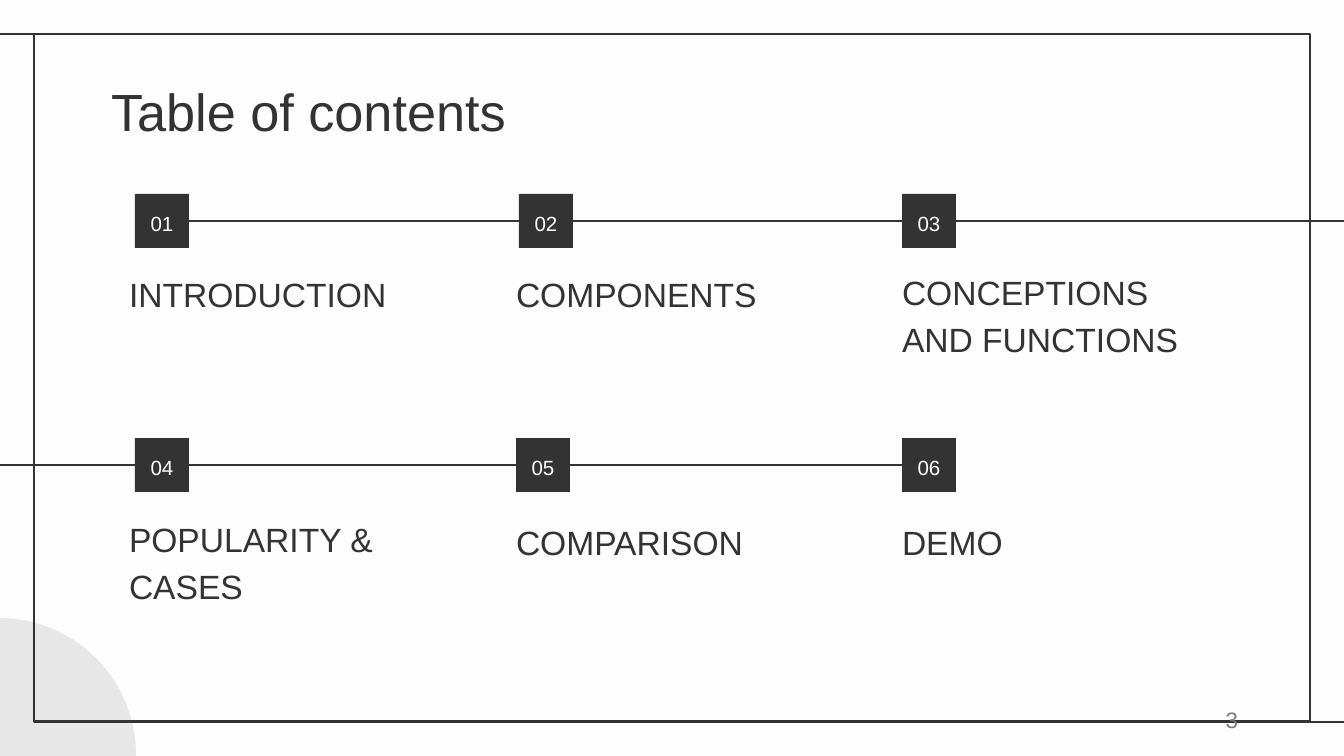
from dataclasses import dataclass

from lxml.etree import SubElement
from pptx import Presentation
from pptx.dml.color import RGBColor
from pptx.enum.shapes import MSO_CONNECTOR, MSO_SHAPE
from pptx.enum.text import MSO_ANCHOR, MSO_AUTO_SIZE, PP_ALIGN
from pptx.oxml.ns import qn
from pptx.util import Pt

PX = 9144000 / 1344


@dataclass(frozen=True)
class Theme:
    font: str = "Arial"
    paper: RGBColor = RGBColor(0xFD, 0xFD, 0xFD)
    ink: RGBColor = RGBColor(0x33, 0x33, 0x33)
    circle: RGBColor = RGBColor(0xE8, 0xE7, 0xE7)
    number: RGBColor = RGBColor(0x7C, 0x7C, 0x7C)
    title_size: int = 28
    label_size: int = 18
    number_size: int = 12
    badge_size: int = 11
    line_width: float = 1.5


theme = Theme()


def px(*lengths):
    """Turn pixel lengths into a list of EMU lengths."""
    return [round(length * PX) for length in lengths]


def write(box, text, size, color=theme.ink, align=PP_ALIGN.LEFT,
          anchor=MSO_ANCHOR.TOP, spacing=1.0, inset_y=13):
    frame = box.text_frame
    frame.word_wrap = True
    frame.auto_size = MSO_AUTO_SIZE.NONE
    frame.vertical_anchor = anchor
    frame.margin_left, frame.margin_right = px(13, 13)
    frame.margin_top, frame.margin_bottom = px(inset_y, inset_y)
    para = frame.paragraphs[0]
    para.alignment = align
    para.line_spacing = spacing
    span = para.add_run()
    span.text = text
    span.font.name = theme.font
    span.font.size = Pt(size)
    span.font.color.rgb = color


deck = Presentation()
deck.slide_width, deck.slide_height = px(1344, 756)
page = deck.slides.add_slide(deck.slide_layouts[5])
page.background.fill.solid()
page.background.fill.fore_color.rgb = theme.paper
shapes = page.shapes

# Corner circle and frame
circle = shapes.add_shape(MSO_SHAPE.OVAL, *px(-138, 618, 274, 274))
circle.shadow.inherit = False
circle.fill.solid()
circle.fill.fore_color.rgb = theme.circle
circle.line.fill.background()

border = shapes.add_shape(MSO_SHAPE.RECTANGLE, *px(34, 34, 1276, 688))
border.shadow.inherit = False
border.fill.background()
border.line.color.rgb = theme.ink
border.line.width = Pt(theme.line_width)

# Frame extensions, then the two timelines
lines = []
for ends in [(34, 34, -3, 34), (1348, 722, 1310, 722),
             (189, 221, 1367, 221), (902, 465, -24, 465)]:
    line = shapes.add_connector(MSO_CONNECTOR.STRAIGHT, *px(*ends))
    line.line.color.rgb = theme.ink
    line.line.width = Pt(theme.line_width)
    SubElement(line._element.spPr, qn("a:effectLst"))
    lines.append(line)
top_timeline, bottom_timeline = lines[2:]

# Title
title = shapes.title
title.left, title.top, title.width, title.height = px(98, 66, 1133, 85)
write(title, "Table of contents", theme.title_size)

# Contents: badge left, badge top, label top, label
sections = [
    (135, 194, 271, "INTRODUCTION"),
    (519, 194, 271, "COMPONENTS"),
    (902, 194, 316, "CONCEPTIONS AND FUNCTIONS"),
    (135, 438, 563, "POPULARITY & CASES"),
    (516, 438, 519, "COMPARISON"),
    (902, 438, 519, "DEMO"),
]
label_lefts = [116, 503, 889]
badges = []
for index, (badge_left, badge_top, label_top, name) in enumerate(sections):
    badge = shapes.add_shape(MSO_SHAPE.RECTANGLE, *px(badge_left, badge_top, 54, 54))
    badge.shadow.inherit = False
    badge.fill.solid()
    badge.fill.fore_color.rgb = theme.ink
    badge.line.fill.background()
    write(badge, f"{index + 1:02}", theme.badge_size, color=theme.paper,
          align=PP_ALIGN.CENTER, anchor=MSO_ANCHOR.MIDDLE, spacing=1.15)
    badges.append(badge)

    label = shapes.add_textbox(*px(label_lefts[index % 3], label_top, 339, 56))
    write(label, name, theme.label_size, anchor=MSO_ANCHOR.BOTTOM, spacing=1.15)

top_timeline.begin_connect(badges[0], 3)
bottom_timeline.begin_connect(badges[5], 1)

# Page number
page_number = shapes.add_textbox(*px(949, 700, 302, 40))
write(page_number, "3", theme.number_size, color=theme.number,
      align=PP_ALIGN.RIGHT, anchor=MSO_ANCHOR.MIDDLE, inset_y=7)

deck.save("out.pptx")
